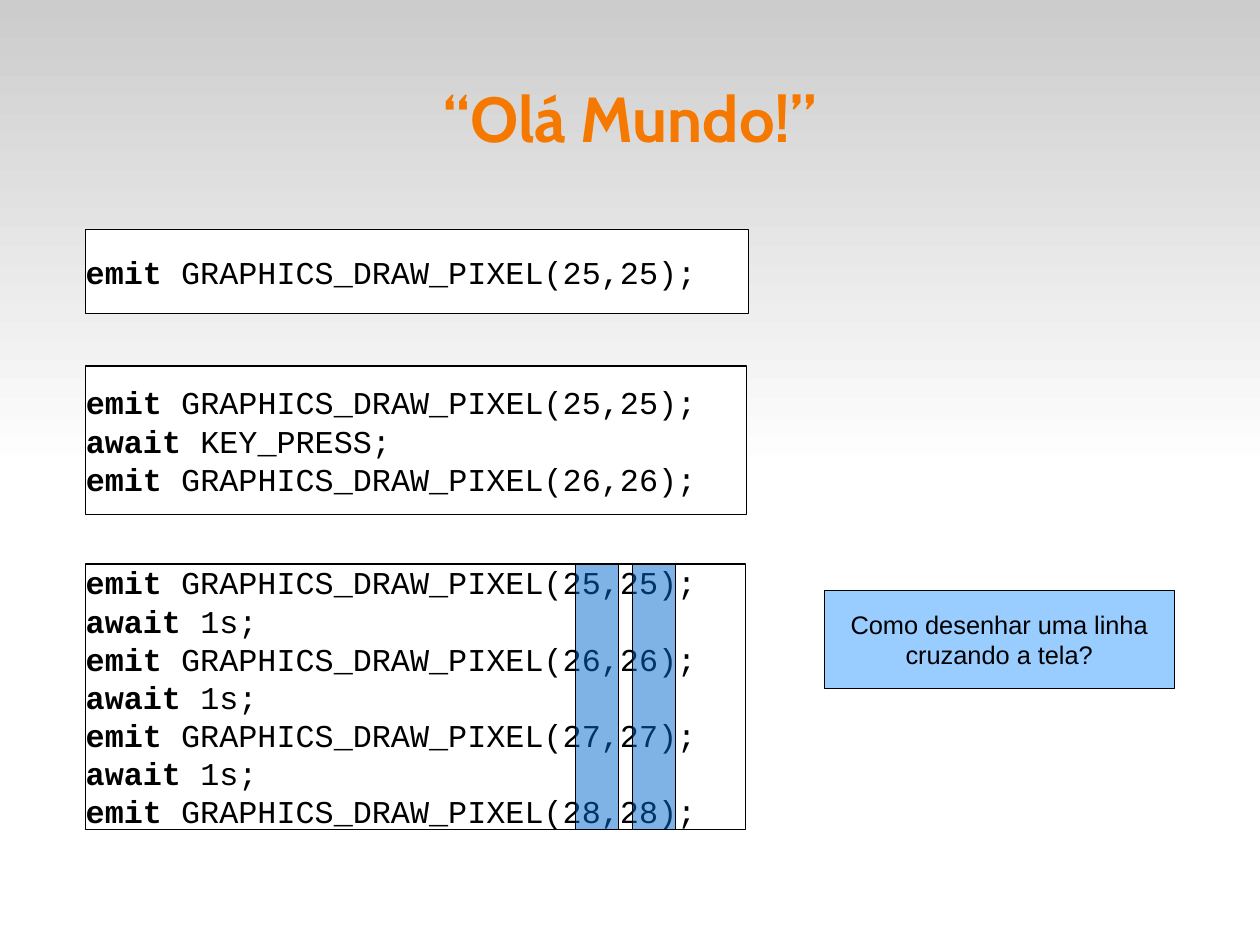
from pptx import Presentation
from pptx.dml.color import RGBColor
from pptx.enum.shapes import MSO_SHAPE as Shape
from pptx.enum.text import MSO_ANCHOR as Anchor, PP_ALIGN as Align
from pptx.oxml import parse_xml
from pptx.oxml.ns import nsdecls, qn
from pptx.util import Inches, Pt


def color(value):
    return RGBColor.from_string(value)


class SlideBuilder:
    BLACK, WHITE = "000000", "FFFFFF"
    GRAY, ORANGE = "CCCCCC", "F57900"
    LIGHT_BLUE, BLUE = "99CCFF", "0066CC"
    CODE_FONT, TITLE_FONT, NOTE_FONT = "Courier New", "Cabin", "Arial"

    def __init__(self, presentation):
        self.slide = presentation.slides.add_slide(presentation.slide_layouts[5])

    def add_run(self, paragraph, text, font, size, text_color, bold=False):
        run = paragraph.add_run()
        run.text = text
        run.font.name = font
        run.font.size = Pt(size)
        run.font.bold = bold
        run.font.color.rgb = color(text_color)

    def prepare_frame(self, shape, horizontal=0, vertical=0, wrap=True):
        frame = shape.text_frame
        frame.word_wrap = wrap
        frame.vertical_anchor = Anchor.MIDDLE
        frame.margin_left = frame.margin_right = Inches(horizontal)
        frame.margin_top = frame.margin_bottom = Inches(vertical)
        return frame

    def paragraphs(self, frame, lines, alignment):
        for index, line in enumerate(lines):
            paragraph = frame.add_paragraph() if index else frame.paragraphs[0]
            paragraph.alignment = alignment
            yield paragraph, line

    def title(self, text, left, top, width, height):
        shape = self.slide.shapes.title
        shape.left, shape.top = Inches(left), Inches(top)
        shape.width, shape.height = Inches(width), Inches(height)
        frame = self.prepare_frame(shape)
        for paragraph, line in self.paragraphs(frame, [text], Align.CENTER):
            self.add_run(paragraph, line, self.TITLE_FONT, 40, self.ORANGE, True)

    def rectangle(self, left, top, width, height, fill):
        shape = self.slide.shapes.add_shape(
            Shape.RECTANGLE, Inches(left), Inches(top), Inches(width), Inches(height))
        shape.shadow.inherit = False
        shape.fill.solid()
        shape.fill.fore_color.rgb = color(fill)
        shape.line.color.rgb = color(self.BLACK)
        shape.line.width = Pt(0)
        return shape

    def backdrop(self, width, height):
        shape = self.rectangle(0, 0, width, height, self.WHITE)
        shape.line.fill.background()
        shape.fill.gradient()
        shape.fill.gradient_angle = 270
        for stop, value in zip(shape.fill.gradient_stops, (self.GRAY, self.WHITE)):
            stop.color.rgb = color(value)
        # Keep the gradient behind the title
        self.slide.shapes.title.element.addprevious(shape.element)

    def code(self, lines, left, top, width, height):
        frame = self.prepare_frame(self.rectangle(left, top, width, height, self.WHITE))
        for paragraph, line in self.paragraphs(frame, lines, Align.LEFT):
            keyword, rest = line.split(" ", 1)
            self.add_run(paragraph, keyword, self.CODE_FONT, 20, self.BLACK, True)
            self.add_run(paragraph, " " + rest, self.CODE_FONT, 20, self.BLACK)

    def note(self, lines, left, top, width, height):
        shape = self.rectangle(left, top, width, height, self.LIGHT_BLUE)
        frame = self.prepare_frame(shape, 0.1, 0.05, wrap=False)
        for paragraph, line in self.paragraphs(frame, lines, Align.CENTER):
            self.add_run(paragraph, line, self.NOTE_FONT, 16, self.BLACK)

    def highlight(self, left, top, width, height):
        shape = self.rectangle(left, top, width, height, self.BLUE)
        fill_color = shape.element.spPr.find(qn("a:solidFill"))[0]
        fill_color.append(parse_xml(f'<a:alpha {nsdecls("a")} val="50000"/>'))


def draw_pixel(position):
    return f"emit GRAPHICS_DRAW_PIXEL({position},{position});"


def main():
    presentation = Presentation()
    presentation.slide_width, presentation.slide_height = Inches(11.02), Inches(8.27)
    builder = SlideBuilder(presentation)

    # Background and title
    builder.backdrop(11.02, 4.14)
    builder.title("“Olá Mundo!”", 0.55, 0.33, 9.92, 1.38)

    # Code examples
    builder.code([draw_pixel(25)], 0.75, 2.01, 5.8, 0.73)
    builder.code([draw_pixel(25), "await KEY_PRESS;", draw_pixel(26)],
                 0.75, 3.2, 5.78, 1.3)
    timed_lines = [draw_pixel(25)]
    for position in range(26, 29):
        timed_lines += ["await 1s;", draw_pixel(position)]
    builder.code(timed_lines, 0.75, 4.93, 5.77, 2.32)

    # Question
    builder.note(["Como desenhar uma linha", "cruzando a tela?"], 7.21, 5.16, 3.06, 0.86)

    # Highlighted coordinates
    for left in (5.03, 5.53):
        builder.highlight(left, 4.93, 0.38, 2.32)

    presentation.save("out.pptx")


if __name__ == "__main__":
    main()
